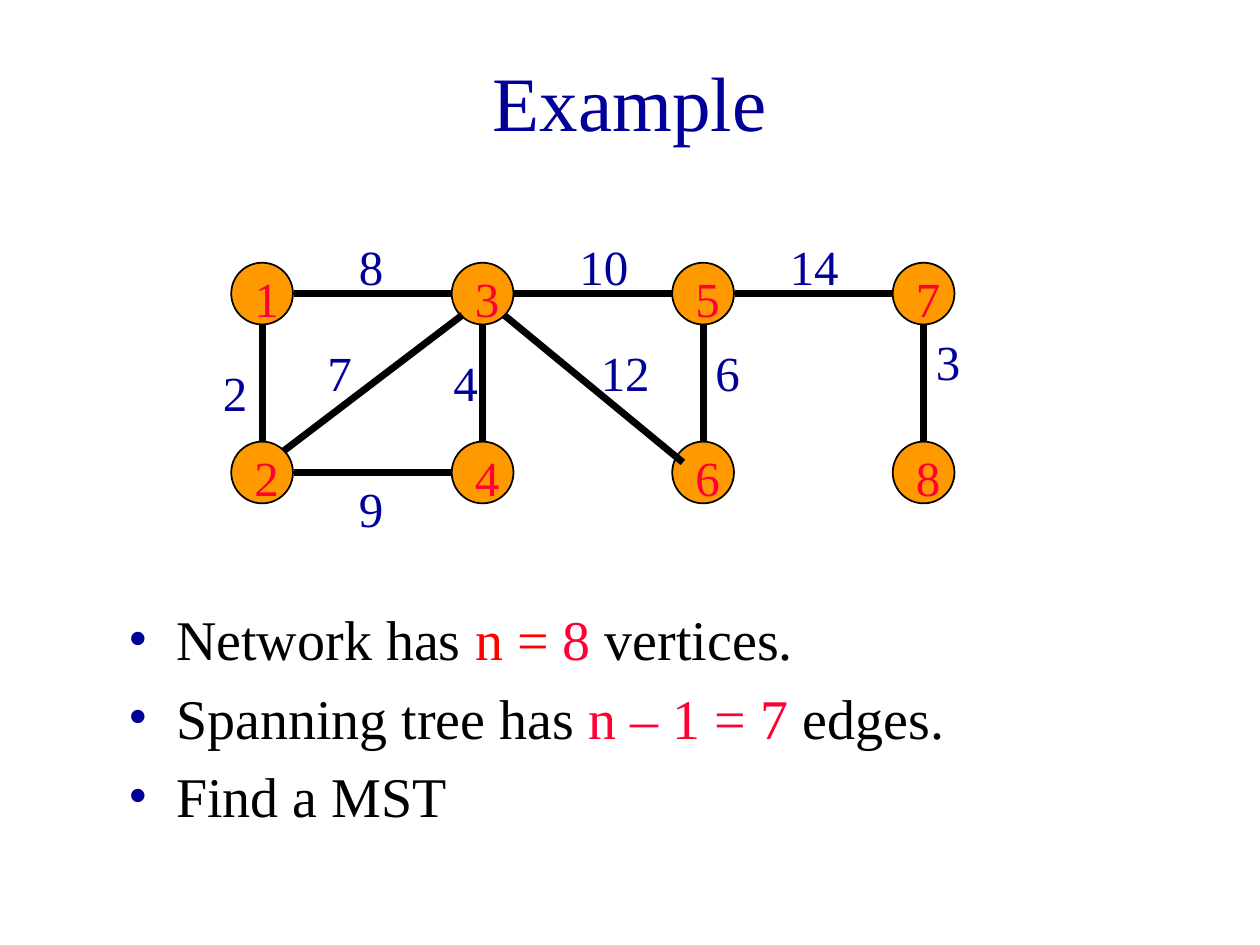
from pptx import Presentation
from pptx.dml.color import RGBColor
from pptx.enum.shapes import MSO_CONNECTOR, MSO_SHAPE
from pptx.enum.text import MSO_ANCHOR, MSO_AUTO_SIZE, PP_ALIGN
from pptx.oxml.ns import qn
from pptx.util import Inches, Pt
from lxml import etree

LINE, OVAL = MSO_CONNECTOR.STRAIGHT, MSO_SHAPE.OVAL
MIDDLE, TOP = MSO_ANCHOR.MIDDLE, MSO_ANCHOR.TOP
GROW, CENTER = MSO_AUTO_SIZE.SHAPE_TO_FIT_TEXT, PP_ALIGN.CENTER
NAVY = RGBColor(0x00, 0x00, 0x99)
BLACK = RGBColor(0x00, 0x00, 0x00)
RED = RGBColor(0xFF, 0x00, 0x00)
ROSE = RGBColor(0xFF, 0x00, 0x33)
ORANGE = RGBColor(0xFF, 0x99, 0x00)
FONT = "Times New Roman"

TITLE = "Example"
POINTS = [
    [("Network has ", BLACK), ("n = ", RED), ("8 ", ROSE), ("vertices.", BLACK)],
    [("Spanning tree has ", BLACK), ("n – 1 = 7", ROSE), (" edges.", BLACK)],
    [("Find a MST", BLACK)],
]
NODES = [("1", "3", "5", "7"), ("2", "4", "6", "8")]
DOWN = ["12", "34", "56", "78"]
ACROSS = ["13", "35", "57", "24"]
SLANTS = [(2.25, 3.58, 3.67, 2.5), (4, 2.5, 5.42, 3.67)]
WEIGHTS = [
    ("2", 1.67, 2.83, 0.33), ("4", 3.5, 2.75, 0.33), ("6", 5.58, 2.67, 0.33),
    ("3", 7.33, 2.58, 0.33), ("8", 2.75, 1.83, 0.33), ("10", 4.5, 1.83, 0.75),
    ("14", 6.17, 1.83, 0.83), ("12", 4.67, 2.67, 0.83), ("7", 2.5, 2.67, 0.33),
    ("9", 2.75, 3.75, 0.33),
]
LEFT, UPPER, STEP, DROP = 2.08, 2.33, 1.75, 1.42
SIZE, REACH = 0.49, 0.25

deck = Presentation()
deck.slide_width, deck.slide_height = Inches(10), Inches(7.5)
slide = deck.slides.add_slide(deck.slide_layouts[6])
shapes = slide.shapes


def add_box(x, y, w, h, anchor=TOP):
    frame = shapes.add_textbox(Inches(x), Inches(y), Inches(w), Inches(h)).text_frame
    frame.word_wrap = True
    frame.vertical_anchor = anchor
    return frame


def add_run(para, text, size, color):
    run = para.add_run()
    run.text = text
    run.font.name = FONT
    run.font.size = Pt(size)
    run.font.color.rgb = color


def set_space(para, percent):
    space = etree.SubElement(para._p.get_or_add_pPr(), qn("a:spcBef"))
    etree.SubElement(space, qn("a:spcPct")).set("val", str(percent * 1000))


def set_bullet(para, color):
    props = para._p.get_or_add_pPr()
    indent = Inches(0.38)
    props.set("marL", str(indent))
    props.set("indent", str(-indent))
    tint = etree.SubElement(props, qn("a:buClr"))
    etree.SubElement(tint, qn("a:srgbClr")).set("val", str(color))
    etree.SubElement(props, qn("a:buFont")).set("typeface", FONT)
    etree.SubElement(props, qn("a:buChar")).set("char", "•")


def add_label(text, x, y, w, color):
    frame = add_box(x, y, w, 0.57)
    frame.auto_size = GROW
    para = frame.paragraphs[0]
    set_space(para, 50)
    add_run(para, text, 28, color)


def add_edge(x1, y1, x2, y2):
    edge = shapes.add_connector(LINE, Inches(x1), Inches(y1), Inches(x2), Inches(y2))
    edge.line.color.rgb = BLACK
    edge.line.width = Pt(4)
    etree.SubElement(edge._element.spPr, qn("a:effectLst"))


head = add_box(0.75, 0.17, 8.5, 1.25, MIDDLE).paragraphs[0]
head.alignment = CENTER
add_run(head, TITLE, 44, NAVY)

body = add_box(0.92, 4.75, 8.5, 1.75)
for i, point in enumerate(POINTS):
    para = body.add_paragraph() if i else body.paragraphs[0]
    set_space(para, 20)
    set_bullet(para, NAVY)
    for text, color in point:
        add_run(para, text, 32, color)

spots = {}
for row, names in enumerate(NODES):
    for col, name in enumerate(names):
        x, y = LEFT + col * STEP, UPPER + row * DROP
        spots[name] = x, y
        node = shapes.add_shape(OVAL, Inches(x - SIZE / 2), Inches(y - SIZE / 2),
                                Inches(SIZE), Inches(SIZE))
        node.shadow.inherit = False
        node.fill.solid()
        node.fill.fore_color.rgb = ORANGE
        node.line.color.rgb = BLACK
        node.line.width = Pt(1)
        add_label(name, x - 0.16, y - 0.25, 0.25, ROSE)

for a, b in DOWN:
    (x, top), (_, low) = spots[a], spots[b]
    add_edge(x, top + REACH, x, low - REACH)
for a, b in ACROSS:
    (near, y), (far, _) = spots[a], spots[b]
    add_edge(near + REACH, y, far - REACH, y)
for slant in SLANTS:
    add_edge(*slant)

for text, x, y, w in WEIGHTS:
    add_label(text, x, y, w, NAVY)

deck.save("out.pptx")
